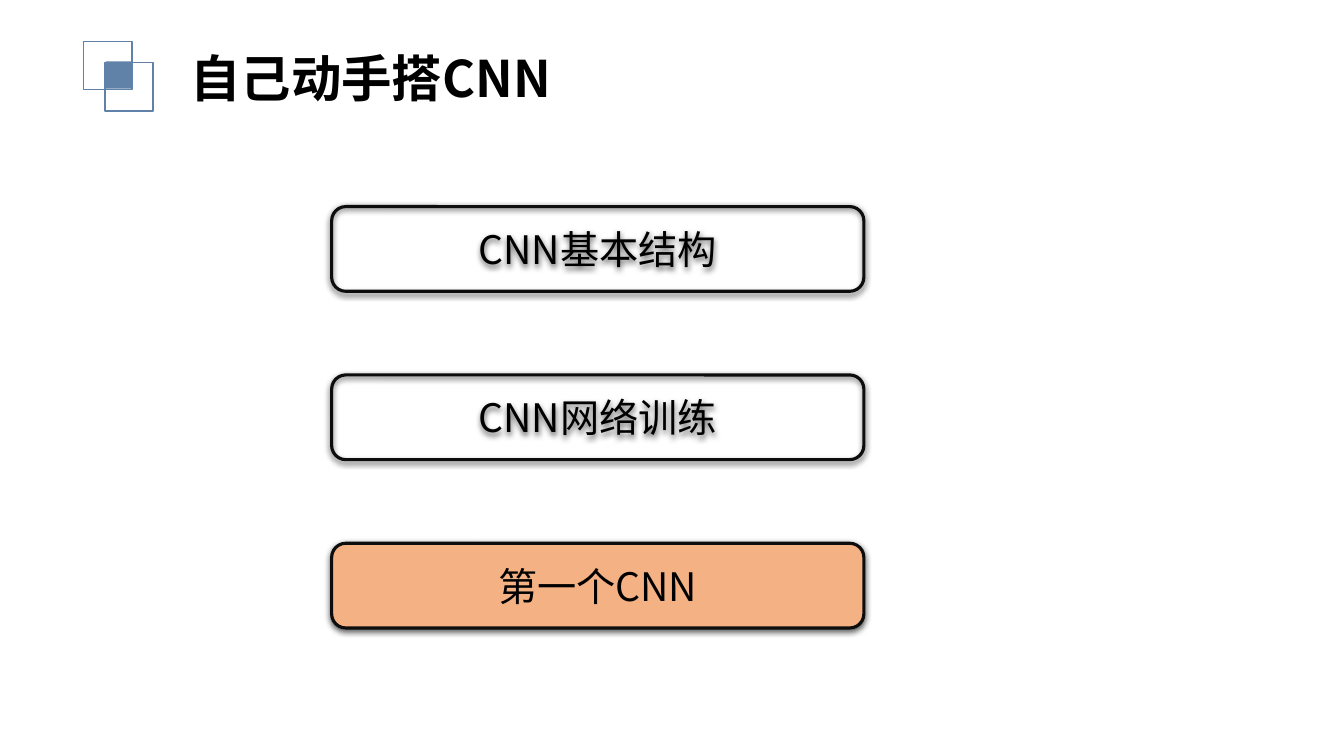
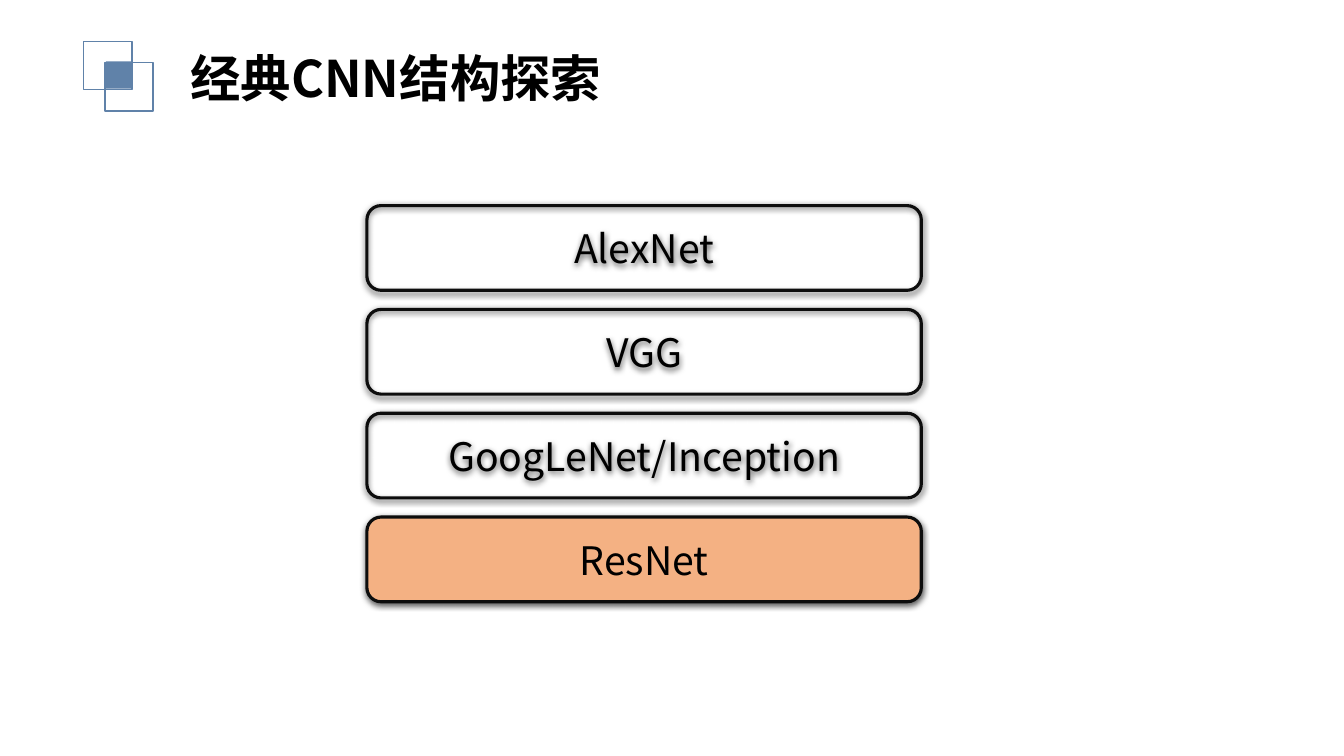
from dataclasses import dataclass

from lxml import etree
from pptx import Presentation
from pptx.dml.color import RGBColor
from pptx.enum.shapes import MSO_SHAPE
from pptx.enum.text import MSO_ANCHOR, MSO_AUTO_SIZE, PP_ALIGN
from pptx.oxml.ns import qn
from pptx.shapes.autoshape import Shape
from pptx.slide import Slide
from pptx.text.text import TextFrame
from pptx.util import Inches, Pt

RECTANGLE = MSO_SHAPE.RECTANGLE
ROUNDED = MSO_SHAPE.ROUNDED_RECTANGLE
MIDDLE = MSO_ANCHOR.MIDDLE
CENTER = PP_ALIGN.CENTER
LEFT = PP_ALIGN.LEFT
GROW = MSO_AUTO_SIZE.SHAPE_TO_FIT_TEXT

COLORS = {
    "accent": "6082A9",
    "highlight": "F4B183",
    "outline": "0D0D0D",
    "text": "000000",
    "shadow": "000000",
}
FONT = "Noto Sans CJK SC"

# The slide is a grid of square cells
COLUMNS, ROWS = 133.33, 75
CELL = Inches(0.1)


@dataclass(frozen=True)
class Area:
    """A rectangle in grid columns and rows."""
    column: float
    row: float
    width: float
    height: float

    def lengths(self) -> tuple[int, ...]:
        return tuple(round(cells * CELL)
                     for cells in (self.column, self.row, self.width, self.height))


@dataclass(frozen=True)
class Agenda:
    """A titled stack of equally spaced boxes; the last one is highlighted."""
    title: str
    items: tuple[str, ...]
    first_box: Area
    pitch: float


TITLE_AREA = Area(17.9, 4.2, 45.9, 7.1)
EMBLEM_OUTLINES = (Area(8.3, 4.1, 4.8, 4.8), Area(10.4, 6.2, 4.8, 4.8))
EMBLEM_CORE = Area(10.5, 6.1, 2.5, 2.7)

AGENDAS = (
    Agenda("自己动手搭CNN",
           ("CNN基本结构", "CNN网络训练", "第一个CNN"),
           Area(32.9, 20.5, 52.8, 8.4), 16.7),
    Agenda("经典CNN结构探索",
           ("AlexNet", "VGG", "GoogLeNet/Inception", "ResNet"),
           Area(36.4, 20.4, 55, 8.4), 10.3),
)


def add_box(slide: Slide, kind: MSO_SHAPE, area: Area, fill: str | None = None,
            line: str | None = None, line_width: float = 1) -> Shape:
    shape = slide.shapes.add_shape(kind, *area.lengths())
    shape.shadow.inherit = False
    if fill:
        shape.fill.solid()
        shape.fill.fore_color.rgb = RGBColor.from_string(COLORS[fill])
    else:
        shape.fill.background()
    if line:
        shape.line.color.rgb = RGBColor.from_string(COLORS[line])
        shape.line.width = Pt(line_width)
    else:
        shape.line.fill.background()
    return shape


def add_shadow(shape: Shape) -> None:
    """Fill the shape's empty effect list with a soft shadow straight below."""
    effects = shape._element.spPr.find(qn("a:effectLst"))
    shadow = etree.SubElement(effects, qn("a:outerShdw"), {
        "blurRad": str(Pt(4.5)), "dist": str(Pt(1.5)),
        "dir": str(90 * 60000), "algn": "t", "rotWithShape": "0"})
    color = etree.SubElement(shadow, qn("a:srgbClr"), val=COLORS["shadow"])
    etree.SubElement(color, qn("a:alpha"), val="63000")


def write(frame: TextFrame, text: str, size: float, bold: bool = False,
          alignment: PP_ALIGN = LEFT) -> None:
    frame.word_wrap = True
    paragraph = frame.paragraphs[0]
    paragraph.alignment = alignment
    run = paragraph.add_run()
    run.text = text
    run.font.size = Pt(size)
    run.font.bold = bold
    run.font.color.rgb = RGBColor.from_string(COLORS["text"])
    run.font.name = FONT
    # Chinese characters take the East Asian typeface
    etree.SubElement(run._r.get_or_add_rPr(), qn("a:ea"), typeface=FONT)


def add_header(slide: Slide, title: str) -> None:
    for area in EMBLEM_OUTLINES:
        add_box(slide, RECTANGLE, area, line="accent")
    add_box(slide, RECTANGLE, EMBLEM_CORE, fill="accent")
    frame = slide.shapes.add_textbox(*TITLE_AREA.lengths()).text_frame
    write(frame, title, 36, bold=True)
    frame.auto_size = GROW


def add_agenda(slide: Slide, agenda: Agenda) -> None:
    add_header(slide, agenda.title)
    first = agenda.first_box
    for index, item in enumerate(agenda.items):
        area = Area(first.column, first.row + index * agenda.pitch,
                    first.width, first.height)
        fill = "highlight" if item == agenda.items[-1] else None
        box = add_box(slide, ROUNDED, area, fill, "outline", 2.25)
        add_shadow(box)
        box.text_frame.vertical_anchor = MIDDLE
        write(box.text_frame, item, 28, alignment=CENTER)


def main() -> None:
    presentation = Presentation()
    presentation.slide_width = round(COLUMNS * CELL)
    presentation.slide_height = ROWS * CELL
    blank_layout = presentation.slide_layouts[6]
    for agenda in AGENDAS:
        add_agenda(presentation.slides.add_slide(blank_layout), agenda)
    presentation.save("out.pptx")


if __name__ == "__main__":
    main()
